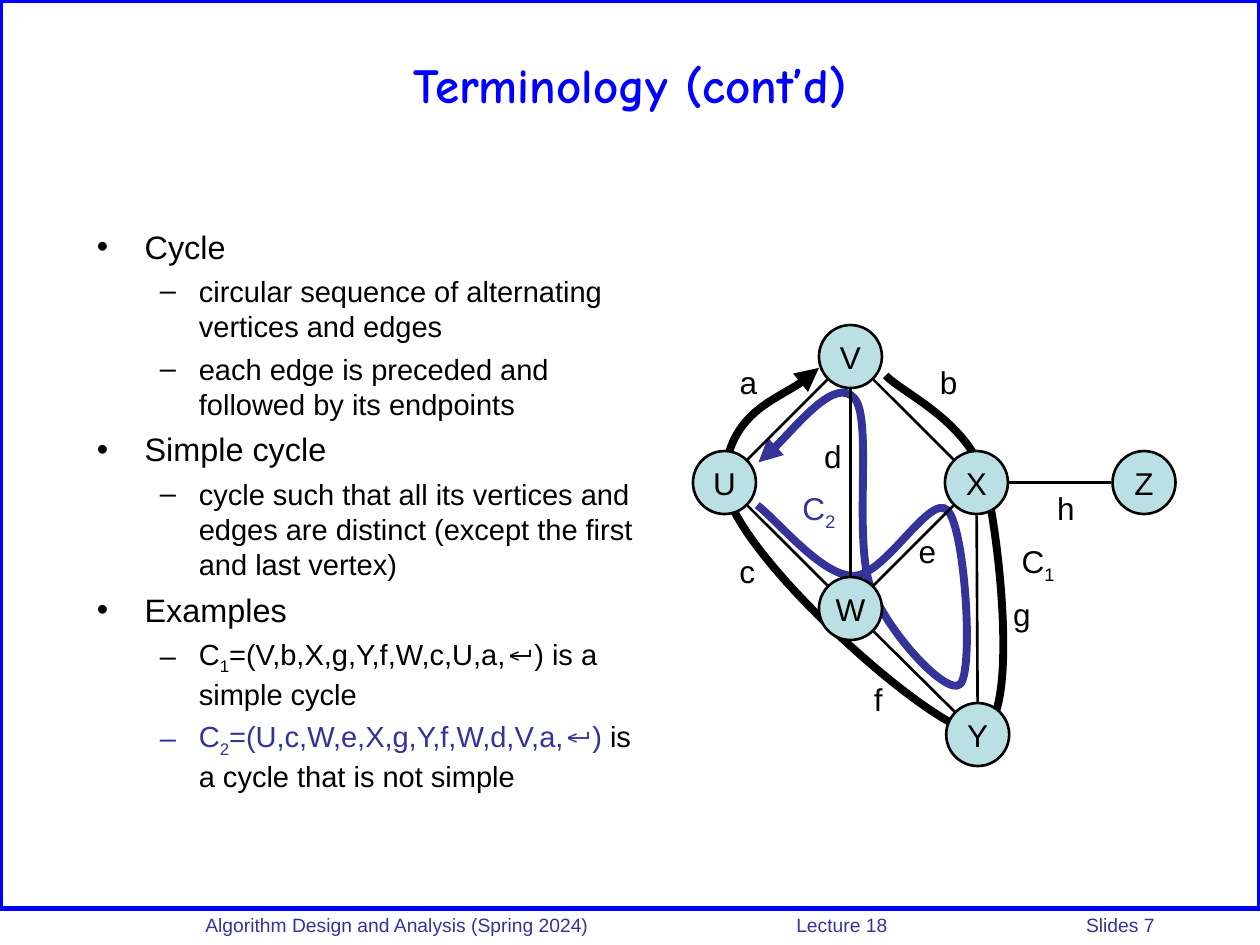
from dataclasses import dataclass
from math import hypot

from lxml.etree import SubElement
from pptx import Presentation
from pptx.dml.color import RGBColor
from pptx.enum.shapes import MSO_CONNECTOR, MSO_SHAPE
from pptx.enum.text import MSO_ANCHOR, PP_ALIGN
from pptx.oxml.ns import qn
from pptx.util import Inches, Pt

COLORS = {"blue": "0000FF", "indigo": "333399", "black": "000000", "node": "BBE0E3"}
DIAMETER = 0.5
EDGE_GAP = 0.26  # from a vertex centre to the end of an edge

deck = Presentation()
deck.slide_width, deck.slide_height = Inches(10), Inches(7.5)
slide = deck.slides.add_slide(deck.slide_layouts[6])
COLUMN = deck.slide_width / 10
ROW = deck.slide_height / 7.5


@dataclass
class Run:
    text: str
    color: str = "black"
    subscript: bool = False


@dataclass
class Bullet:
    runs: list[Run]
    level: int = 1


@dataclass
class Label:
    runs: list[Run]
    col: float  # centre
    row: float
    width: float = 0.34
    height: float = 0.4


@dataclass
class Cycle:
    start: tuple[float, float]
    controls: list[tuple[float, float]]  # three for each curve
    color: str
    arrow_end: str


def rgb(name: str) -> RGBColor:
    return RGBColor.from_string(COLORS[name])


def point(col: float, row: float) -> tuple[int, int]:
    return round(col * COLUMN), round(row * ROW)


def box(col: float, row: float, width: float, height: float) -> tuple[int, ...]:
    return point(col, row) + point(width, height)


def apply(target, formats: dict) -> None:
    for attribute, value in formats.items():
        setattr(target, attribute, value)


def outline(shape, color: str, width: float) -> None:
    shape.line.width = Pt(width)
    shape.line.color.rgb = rgb(color)


def write(paragraph, runs: list[Run], size: float, font: str = "Arial", bold: bool = False) -> None:
    for item in runs:
        run = paragraph.add_run()
        run.text = item.text
        apply(run.font, {"size": Pt(size), "name": font, "bold": bold})
        run.font.color.rgb = rgb(item.color)
        if item.subscript:
            run.font._element.set("baseline", "-25000")


def add_text(shapes, place: tuple[int, ...], wrap: bool = True, **formats):
    frame = shapes.add_textbox(*place).text_frame
    apply(frame, {"word_wrap": wrap, **formats})
    return frame


def add_vertex(shapes, name: str, center: tuple[float, float]) -> None:
    col, row = center
    vertex = shapes.add_shape(MSO_SHAPE.OVAL, *box(
        col - DIAMETER / 2, row - DIAMETER / 2, DIAMETER, DIAMETER))
    vertex.shadow.inherit = False
    vertex.fill.solid()
    vertex.fill.fore_color.rgb = rgb("node")
    outline(vertex, "black", 1.5)
    apply(vertex.text_frame, {"word_wrap": False, "vertical_anchor": MSO_ANCHOR.MIDDLE})
    paragraph = vertex.text_frame.paragraphs[0]
    paragraph.alignment = PP_ALIGN.CENTER
    write(paragraph, [Run(name)], 18)


def add_edge(shapes, a: tuple[float, float], b: tuple[float, float]) -> None:
    dx, dy = b[0] - a[0], b[1] - a[1]
    share = EDGE_GAP / hypot(dx, dy)
    ends = box(a[0] + dx * share, a[1] + dy * share, b[0] - dx * share, b[1] - dy * share)
    edge = shapes.add_connector(MSO_CONNECTOR.STRAIGHT, *ends)
    outline(edge, "black", 1.5)
    SubElement(edge._element.spPr, qn("a:effectLst"))


def add_cycle(shapes, cycle: Cycle) -> None:
    builder = shapes.build_freeform(*point(*cycle.start))
    builder.add_line_segments([point(*control) for control in cycle.controls], close=False)
    curve = builder.convert_to_shape()
    # Each three line points become the controls of one Bézier curve
    outline_path = curve._element.spPr.find(".//" + qn("a:path"))
    steps = outline_path.findall(qn("a:lnTo"))
    for first in range(0, len(steps), 3):
        bezier = SubElement(outline_path, qn("a:cubicBezTo"))
        for step in steps[first:first + 3]:
            bezier.append(step[0])
            outline_path.remove(step)
    curve.shadow.inherit = False
    curve.fill.background()
    outline(curve, cycle.color, 4.5)
    SubElement(curve.line._get_or_add_ln(), qn(f"a:{cycle.arrow_end}"), type="triangle")


def add_label(shapes, label: Label) -> None:
    place = box(label.col - label.width / 2, label.row - label.height / 2,
                label.width, label.height)
    paragraph = add_text(shapes, place, wrap=False).paragraphs[0]
    paragraph.alignment = PP_ALIGN.CENTER
    write(paragraph, label.runs, 18)


def add_bullet(paragraph, bullet: Bullet, first: bool) -> None:
    size, before, margin, hang, mark = [(18.5, 5, 0.38, 0.38, "•"),
                                        (16.6, 4.5, 0.81, 0.31, "–")][bullet.level]
    props = paragraph._p.get_or_add_pPr()
    props.set("marL", str(Inches(margin)))
    props.set("indent", str(-Inches(hang)))
    SubElement(SubElement(props, qn("a:buClr")), qn("a:srgbClr"),
               val=COLORS[bullet.runs[0].color])
    SubElement(props, qn("a:buFont"), typeface="Arial")
    SubElement(props, qn("a:buChar"), char=mark)
    apply(paragraph, {"level": bullet.level, "space_before": Pt(0 if first else before)})
    write(paragraph, bullet.runs, size)


# Frame and footer
frame = slide.shapes.add_shape(MSO_SHAPE.RECTANGLE, *box(0, 0, 10, 7.21))
frame.shadow.inherit = False
frame.fill.background()
outline(frame, "blue", 3)
footer = add_text(slide.shapes, box(1.33, 7.2, 8.67, 0.26), margin_left=Inches(0.3)).paragraphs[0]
footer_tabs = SubElement(footer._p.get_or_add_pPr(), qn("a:tabLst"))
for stop in (4.69, 6.99):
    SubElement(footer_tabs, qn("a:tab"), pos=str(Inches(stop)), algn="l")
write(footer, [Run("Algorithm Design and Analysis (Spring 2024)\tLecture 18\tSlides 7", "indigo")], 11)

# Title
title = add_text(slide.shapes, box(0.5, 0.17, 9, 1),
                 vertical_anchor=MSO_ANCHOR.MIDDLE).paragraphs[0]
title.alignment = PP_ALIGN.CENTER
write(title, [Run("Terminology (cont’d)", "blue")], 28, "Comic Neue", True)

# Definitions and examples
BULLETS = [
    Bullet([Run("Cycle")], 0),
    Bullet([Run("circular sequence of alternating vertices and edges")]),
    Bullet([Run("each edge is preceded and followed by its endpoints")]),
    Bullet([Run("Simple cycle")], 0),
    Bullet([Run("cycle such that all its vertices and edges are distinct "
                "(except the first and last vertex)")]),
    Bullet([Run("Examples")], 0),
    Bullet([Run("C"), Run("1", subscript=True),
            Run("=(V,b,X,g,Y,f,W,c,U,a,↵) is a simple cycle")]),
    Bullet([Run("C", "indigo"), Run("2", "indigo", True),
            Run("=(U,c,W,e,X,g,Y,f,W,d,V,a,↵)", "indigo"),
            Run(" is a cycle that is not simple")]),
]
body = add_text(slide.shapes, box(0.67, 1.75, 4.58, 4.83))
for index, bullet in enumerate(BULLETS):
    add_bullet(body.add_paragraph() if index else body.paragraphs[0], bullet, index == 0)

# Graph with its two cycles
CYCLES = [
    Cycle((7.03, 2.98), [(7.16, 3.12), (7.7, 3.35), (7.82, 3.82), (7.94, 4.3), (8.1, 5.82),
                         (7.75, 5.81), (7.4, 5.81), (5.71, 4.3), (5.75, 3.79), (5.79, 3.28),
                         (6.34, 3.1), (6.5, 2.92)], "black", "tailEnd"),
    Cycle((6.02, 3.67), [(6.15, 3.58), (6.63, 2.99), (6.78, 3.16), (6.93, 3.32), (6.77, 4.28),
                         (6.91, 4.66), (7.05, 5.03), (7.52, 5.53), (7.62, 5.43), (7.73, 5.33),
                         (7.66, 4.19), (7.52, 4.05), (7.38, 3.91), (7.02, 4.58), (6.77, 4.57),
                         (6.52, 4.57), (6.17, 4.13), (6.01, 4.01)], "indigo", "headEnd"),
]
VERTICES = {"X": (7.75, 3.83), "U": (5.75, 3.83), "V": (6.75, 2.83),
            "W": (6.75, 4.83), "Z": (9.08, 3.83), "Y": (7.76, 5.83)}
EDGES = ["VU", "WU", "WX", "XZ", "VX", "VW", "WY", "XY"]
LABELS = [
    Label([Run("a")], 5.94, 3.03), Label([Run("c")], 5.93, 4.53, 0.32),
    Label([Run("b")], 7.53, 3.03), Label([Run("e")], 7.36, 4.37),
    Label([Run("d")], 6.61, 3.62), Label([Run("f")], 6.97, 5.55, 0.27),
    Label([Run("g")], 8.11, 4.87), Label([Run("h")], 8.46, 4.03),
    Label([Run("C"), Run("1", subscript=True)], 8.24, 4.47, 0.46, 0.44),
    Label([Run("C", "indigo"), Run("2", "indigo", True)], 6.5, 4.05, 0.46, 0.44),
]
graph = slide.shapes.add_group_shape().shapes
for cycle in CYCLES:
    add_cycle(graph, cycle)
for name, center in VERTICES.items():
    add_vertex(graph, name, center)
for a, b in EDGES:
    add_edge(graph, VERTICES[a], VERTICES[b])
for label in LABELS:
    add_label(graph, label)

deck.save("out.pptx")
